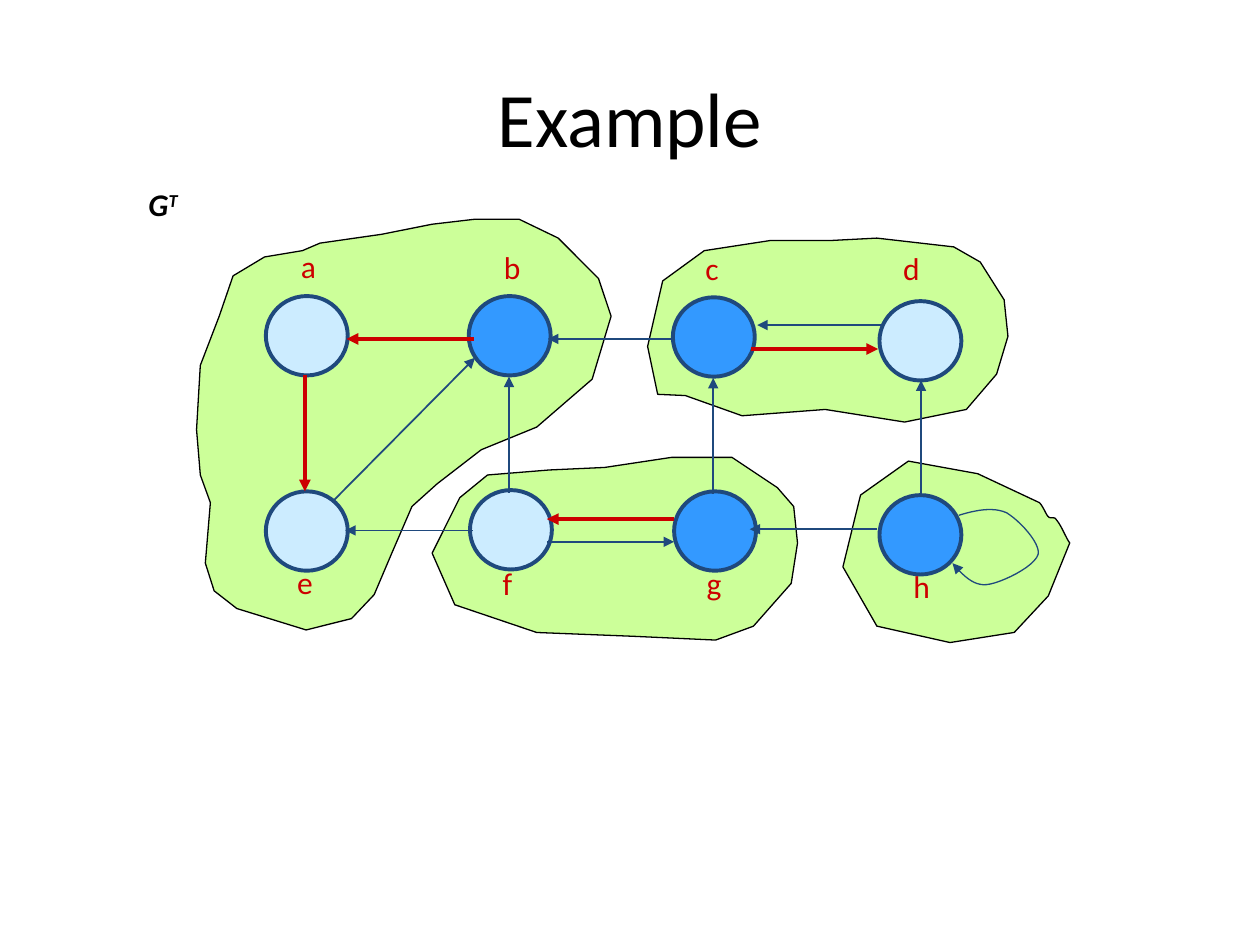
from lxml import etree
from pptx import Presentation
from pptx.dml.color import RGBColor
from pptx.enum.shapes import MSO_CONNECTOR, MSO_SHAPE
from pptx.enum.text import MSO_ANCHOR, MSO_AUTO_SIZE, PP_ALIGN
from pptx.oxml.ns import qn
from pptx.util import Inches, Pt

STRAIGHT = MSO_CONNECTOR.STRAIGHT
OVAL = MSO_SHAPE.OVAL
TOP, MIDDLE = MSO_ANCHOR.TOP, MSO_ANCHOR.MIDDLE
FIT, FIXED = MSO_AUTO_SIZE.SHAPE_TO_FIT_TEXT, MSO_AUTO_SIZE.NONE
LEFT, CENTER = PP_ALIGN.LEFT, PP_ALIGN.CENTER

COLORS = {
    "black": "000000",
    "region": "CCFF99",
    "light": "CCECFF",
    "root": "3399FF",
    "edge": "1F497D",
    "tree": "CC0000",
}
NODE_W, NODE_H = 0.65, 0.63

REGIONS = [
    [(7.76, 3.76), (7.21, 3.66), (6.83, 3.93), (6.69, 4.5), (6.96, 4.97), (7.54, 5.1),
     (8.05, 5.02), (8.32, 4.73), (8.49, 4.31), (8.45, 4.25, 8.43, 4.18, 8.38, 4.12),
     (8.37, 4.1, 8.33, 4.12, 8.32, 4.1), (8.31, 4.1, 8.28, 4.02, 8.25, 3.99)],
    [(4.8, 3.71), (4.36, 3.73), (3.87, 3.77), (3.65, 3.95), (3.43, 4.39), (3.61, 4.8),
     (4.26, 5.02), (5.02, 5.05), (5.68, 5.08), (5.98, 4.97), (6.28, 4.63), (6.33, 4.31),
     (6.3, 4.02), (6.17, 3.87), (5.81, 3.63), (5.33, 3.63)],
    [(6.96, 1.89), (6.58, 1.91), (6.11, 1.91), (5.59, 1.99), (5.26, 2.23), (5.14, 2.75),
     (5.22, 3.13), (5.44, 3.14), (5.89, 3.3), (6.55, 3.25), (7.18, 3.35), (7.67, 3.25),
     (7.91, 2.97), (8, 2.67), (7.97, 2.38), (7.78, 2.08), (7.57, 1.96)],
    [(2.1, 2.04), (1.85, 2.19), (1.74, 2.51), (1.59, 2.9), (1.56, 3.41), (1.59, 3.77),
     (1.67, 3.99), (1.63, 4.47), (1.7, 4.69), (1.88, 4.83), (2.43, 5), (2.79, 4.91),
     (2.97, 4.72), (3.11, 4.39), (3.27, 4.02), (3.47, 3.84), (3.82, 3.57), (4.26, 3.39),
     (4.7, 3.01), (4.85, 2.51), (4.75, 2.21), (4.43, 1.89), (4.12, 1.74), (3.77, 1.74),
     (3.43, 1.78), (3.03, 1.86), (2.54, 1.93), (2.4, 1.99)],
]
SELF_LOOP = [(7.61, 4.09), (7.74, 4.05, 7.88, 4.02, 7.99, 4.07),
             (8.09, 4.13, 8.26, 4.31, 8.24, 4.4), (8.21, 4.5, 7.94, 4.63, 7.83, 4.64),
             (7.72, 4.65, 7.64, 4.56, 7.56, 4.47)]
NODES = [
    ("a", "light", (2.11, 2.35), (2.29, 1.91, 0.35)),
    ("b", "root", (3.72, 2.35), (3.9, 1.92, 0.37)),
    ("c", "root", (5.34, 2.36), (5.5, 1.93, 0.35)),
    ("d", "light", (6.98, 2.39), (7.07, 1.93, 0.37)),
    ("e", "light", (2.11, 3.9), (2.26, 4.42, 0.35)),
    ("f", "light", (3.73, 3.89), (3.89, 4.43, 0.31)),
    ("g", "root", (5.35, 3.9), (5.51, 4.43, 0.37)),
    ("h", "root", (6.98, 3.93), (7.15, 4.45, 0.37)),
]
CROSS_EDGES = [
    (3.75, 4.21, 2.74, 4.21),
    (4.04, 3.91, 4.04, 2.99),
    (5.66, 3.92, 5.66, 3),
    (2.65, 3.97, 3.77, 2.84),
    (5.36, 2.69, 4.35, 2.69),
    (4.34, 4.3, 5.35, 4.3),
    (6.96, 4.2, 5.95, 4.2),
    (7.31, 3.94, 7.31, 3.02),
    (7.02, 2.58, 6.01, 2.58),
]
TREE_EDGES = [
    (2.42, 2.98, 2.42, 3.9),
    (3.76, 2.69, 2.75, 2.69),
    (5.35, 4.12, 4.34, 4.12),
    (5.96, 2.77, 6.97, 2.77),
]


def flatten(path, steps=12):
    """Return the points of a path of points and cubic curves."""
    points = [path[0]]
    for part in path[1:]:
        if len(part) == 2:
            points.append(part)
            continue
        x0, y0 = points[-1]
        x1, y1, x2, y2, x3, y3 = part
        for i in range(1, steps + 1):
            t = i / steps
            u = 1 - t
            weights = (u**3, 3 * u * u * t, 3 * u * t * t, t**3)
            points.append((sum(w * x for w, x in zip(weights, (x0, x1, x2, x3))),
                           sum(w * y for w, y in zip(weights, (y0, y1, y2, y3)))))
    return points


class Diagram:
    """Draws graph elements on the current slide in one style."""

    font = "Calibri"

    def __init__(self, slide):
        self.s = slide

    def color(self, name):
        return RGBColor.from_string(COLORS[name])

    def outline(self, sp, color, width, arrow=False):
        sp.line.color.rgb = self.color(color)
        sp.line.width = Pt(width)
        if arrow:
            ln = sp.line._get_or_add_ln()
            etree.SubElement(ln, qn("a:tailEnd"), type="triangle")

    def paint(self, sp, fill):
        sp.shadow.inherit = False
        if fill:
            sp.fill.solid()
            sp.fill.fore_color.rgb = self.color(fill)
        else:
            sp.fill.background()

    def outline_path(self, path, fill=None, line="black", arrow=False):
        points = [(Inches(x), Inches(y)) for x, y in flatten(path)]
        builder = self.s.shapes.build_freeform(*points[0])
        builder.add_line_segments(points[1:], close=fill is not None)
        sp = builder.convert_to_shape()
        self.paint(sp, fill)
        self.outline(sp, line, 0.75, arrow)

    def node(self, x, y, fill):
        sp = self.s.shapes.add_shape(
            OVAL, Inches(x), Inches(y), Inches(NODE_W), Inches(NODE_H))
        self.paint(sp, fill)
        self.outline(sp, "edge", 2.25)

    def edge(self, ends, color, width):
        cxn = self.s.shapes.add_connector(STRAIGHT, *(Inches(v) for v in ends))
        self.outline(cxn, color, width, arrow=True)
        etree.SubElement(cxn._element.spPr, qn("a:effectLst"))

    def text(self, box, runs, color, size=18, align=LEFT, wrap=False, **style):
        sp = self.s.shapes.add_textbox(*(Inches(v) for v in box))
        tf = sp.text_frame
        frame = {"word_wrap": wrap, "auto_size": FIXED if wrap else FIT,
                 "vertical_anchor": MIDDLE if wrap else TOP}
        for key, value in frame.items():
            setattr(tf, key, value)
        p = tf.paragraphs[0]
        p.alignment = align
        for words, baseline in runs:
            r = p.add_run()
            r.text = words
            for key, value in {"name": self.font, "size": Pt(size), **style}.items():
                setattr(r.font, key, value)
            r.font.color.rgb = self.color(color)
            if baseline:
                r._r.get_or_add_rPr().set("baseline", str(baseline * 1000))


def main():
    prs = Presentation()
    prs.slide_width, prs.slide_height = Inches(10), Inches(7.5)
    d = Diagram(prs.slides.add_slide(prs.slide_layouts[6]))
    for region in REGIONS:
        d.outline_path(region, fill="region")
    d.text((0.5, 0.3, 9, 1.25), [("Example", 0)], "black", 44, CENTER, wrap=True)
    for _, fill, (x, y), _ in NODES:
        d.node(x, y, fill)
    for ends in CROSS_EDGES:
        d.edge(ends, "edge", 1)
    for ends in TREE_EDGES:
        d.edge(ends, "tree", 2.25)
    d.outline_path(SELF_LOOP, line="edge", arrow=True)
    for name, _, _, box in NODES:
        d.text((*box, 0.5), [(name, 0)], "tree")
    d.text((1.08, 1.42, 0.58, 0.5), [("G", 0), ("T", 30)], "black", bold=True, italic=True)
    prs.save("out.pptx")


if __name__ == "__main__":
    main()
